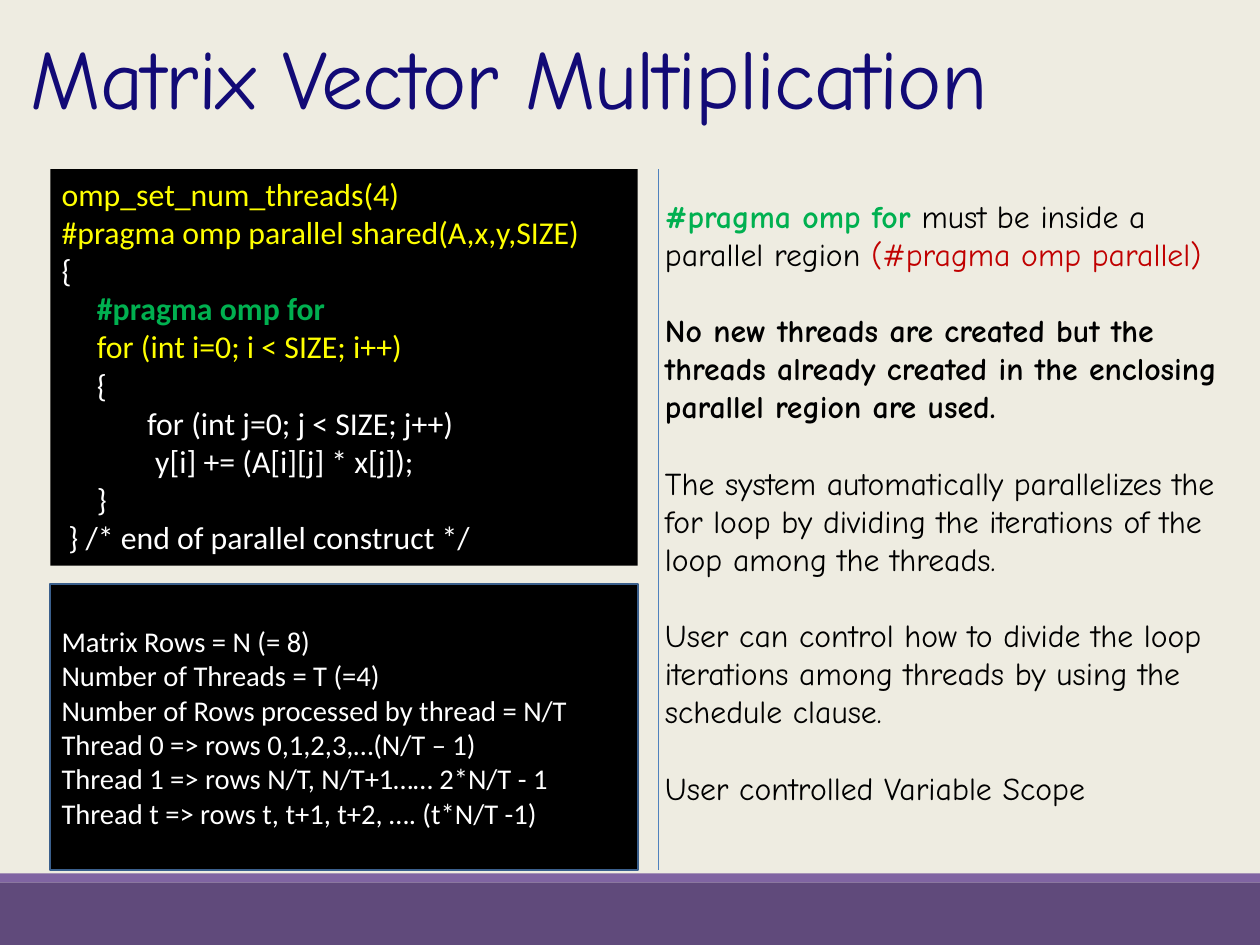
from dataclasses import dataclass

from lxml import etree
from pptx import Presentation
from pptx.dml.color import RGBColor
from pptx.enum.shapes import MSO_CONNECTOR, MSO_SHAPE
from pptx.enum.text import MSO_ANCHOR, PP_ALIGN
from pptx.oxml.ns import qn
from pptx.util import Inches, Pt

RECT = MSO_SHAPE.RECTANGLE
STRAIGHT = MSO_CONNECTOR.STRAIGHT
TOP, MIDDLE = MSO_ANCHOR.TOP, MSO_ANCHOR.MIDDLE
LEFT = PP_ALIGN.LEFT


@dataclass(frozen=True)
class Theme:
    background: str = "EEECE1"
    footer: str = "604A7B"
    footer_edge: str = "8064A2"
    divider: str = "4F81BD"
    panel: str = "000000"
    panel_edge: str = "3A5F8C"
    title: str = "120A76"
    ink: str = "000000"
    light: str = "FFFFFF"
    yellow: str = "FFFF00"
    green: str = "00B050"
    red: str = "C00000"
    code_font: str = "Calibri"
    text_font: str = "Comic Neue"
    title_size: float = 52.9
    body_size: float = 20
    small_size: float = 18


THEME = Theme()

# Shared geometry, in inches; the page is 793.75 by 595.25 points
SLIDE_W, SLIDE_H = 793.75 / 72, 595.25 / 72
PANEL_X, PANEL_W = 0.44, 5.14
CONTENT_TOP, CONTENT_BOTTOM = 1.48, 7.61

# Code lines: indent in inches, text, colour, bold
CODE = [
    (0, "omp_set_num_threads(4)", THEME.yellow, False),
    (0, "#pragma omp parallel shared(A,x,y,SIZE)", THEME.yellow, False),
    (0, "{", THEME.light, False),
    (0.31, "#pragma omp for", THEME.green, True),
    (0.31, "for (int i=0; i < SIZE; i++)", THEME.yellow, False),
    (0.31, "{", THEME.light, False),
    (0.75, "for (int j=0; j < SIZE; j++)", THEME.light, False),
    (0.82, "y[i] += (A[i][j] * x[j]);", THEME.light, False),
    (0.31, "}", THEME.light, False),
    (0.06, "} /* end of parallel construct */", THEME.light, False),
]

ROW_SPLIT = [
    "Matrix Rows = N (= 8)",
    "Number of Threads = T (=4)",
    "Number of Rows processed by thread = N/T",
    "Thread 0 => rows 0,1,2,3,…(N/T – 1)",
    "Thread 1 => rows N/T, N/T+1…… 2*N/T - 1",
    "Thread t => rows t, t+1, t+2, …. (t*N/T -1)",
]

# Explanations: each paragraph is a list of (text, colour, bold)
NOTES = [
    [("#pragma omp for", THEME.green, True),
     (" must be inside a parallel region ", THEME.ink, False),
     ("(#pragma omp parallel)", THEME.red, False)],
    [("No new threads are created but the threads already created in the "
      "enclosing parallel region are used.", THEME.ink, True)],
    [("The system automatically parallelizes the for loop by dividing the "
      "iterations of the loop among the threads.", THEME.ink, False)],
    [("User can control how to divide the loop iterations among threads by "
      "using the schedule clause.", THEME.ink, False)],
    [("User controlled Variable Scope", THEME.ink, False)],
]


def rgb(color):
    return RGBColor.from_string(color)


def add_rect(s, box, fill, edge=None):
    sp = s.shapes.add_shape(RECT, *map(Inches, box))
    sp.shadow.inherit = False
    sp.fill.solid()
    sp.fill.fore_color.rgb = rgb(fill)
    if edge:
        sp.line.color.rgb = rgb(edge)
        sp.line.width = Pt(1.25)
    else:
        sp.line.fill.background()
    return sp


def add_divider(s, x, top, bottom):
    line = s.shapes.add_connector(
        STRAIGHT, Inches(x), Inches(top), Inches(x), Inches(bottom))
    line.line.color.rgb = rgb(THEME.divider)
    line.line.width = Pt(1)
    etree.SubElement(line._element.spPr, qn("a:effectLst"))


def add_run(p, text, font, size, color, bold=False):
    r = p.add_run()
    r.text = text
    style = {"name": font, "size": Pt(size), "bold": bold}
    for name, value in style.items():
        setattr(r.font, name, value)
    r.font.color.rgb = rgb(color)
    return r


def write(sp, paragraphs, font, size, anchor=TOP, gap=0):
    """Fill a shape with paragraphs given as (indent, runs)."""
    tf = sp.text_frame
    tf.word_wrap = True
    tf.vertical_anchor = anchor
    for i, (indent, runs) in enumerate(paragraphs):
        p = tf.add_paragraph() if i else tf.paragraphs[0]
        p.alignment = LEFT
        if i and gap:
            p.space_before = Pt(gap)
        if indent:
            pPr = p._p.get_or_add_pPr()
            pPr.set("marL", str(Inches(indent)))
            pPr.set("indent", "0")
        for text, color, bold in runs:
            add_run(p, text, font, size, color, bold)


def add_title(s, text):
    sp = s.shapes.add_textbox(*map(Inches, (0.17, 0.31, 9.92, 1.17)))
    sp.text_frame.word_wrap = True
    p = sp.text_frame.paragraphs[0]
    p.line_spacing = 0.85
    r = add_run(p, text, THEME.text_font, THEME.title_size, THEME.title)
    r.font._element.set("spc", "-60")


def main():
    prs = Presentation()
    prs.slide_width, prs.slide_height = Inches(SLIDE_W), Inches(SLIDE_H)
    s = prs.slides.add_slide(prs.slide_layouts[6])
    s.background.fill.solid()
    s.background.fill.fore_color.rgb = rgb(THEME.background)

    # Footer bands
    add_rect(s, (0, 7.72, SLIDE_W, SLIDE_H - 7.72), THEME.footer)
    add_rect(s, (0, 7.64, SLIDE_W, 0.08), THEME.footer_edge)

    # Column divider
    add_divider(s, 5.76, CONTENT_TOP, CONTENT_BOTTOM)

    # Row distribution panel
    rows = add_rect(s, (PANEL_X, 5.11, PANEL_W, CONTENT_BOTTOM - 5.11),
                    THEME.panel, THEME.panel_edge)
    write(rows, [(0, [(text, THEME.light, False)]) for text in ROW_SPLIT],
          THEME.code_font, THEME.small_size, MIDDLE)

    # Code panel
    code = add_rect(s, (PANEL_X, CONTENT_TOP, PANEL_W, 3.47), THEME.panel)
    write(code, [(indent, [run]) for indent, *run in CODE],
          THEME.code_font, THEME.body_size)

    # Title and explanations
    add_title(s, "Matrix Vector Multiplication")
    notes = s.shapes.add_textbox(*map(Inches, (5.72, 1.67, 5.14, 5.49)))
    write(notes, [(0, runs) for runs in NOTES],
          THEME.text_font, THEME.body_size, gap=24)

    prs.save("out.pptx")


if __name__ == "__main__":
    main()
